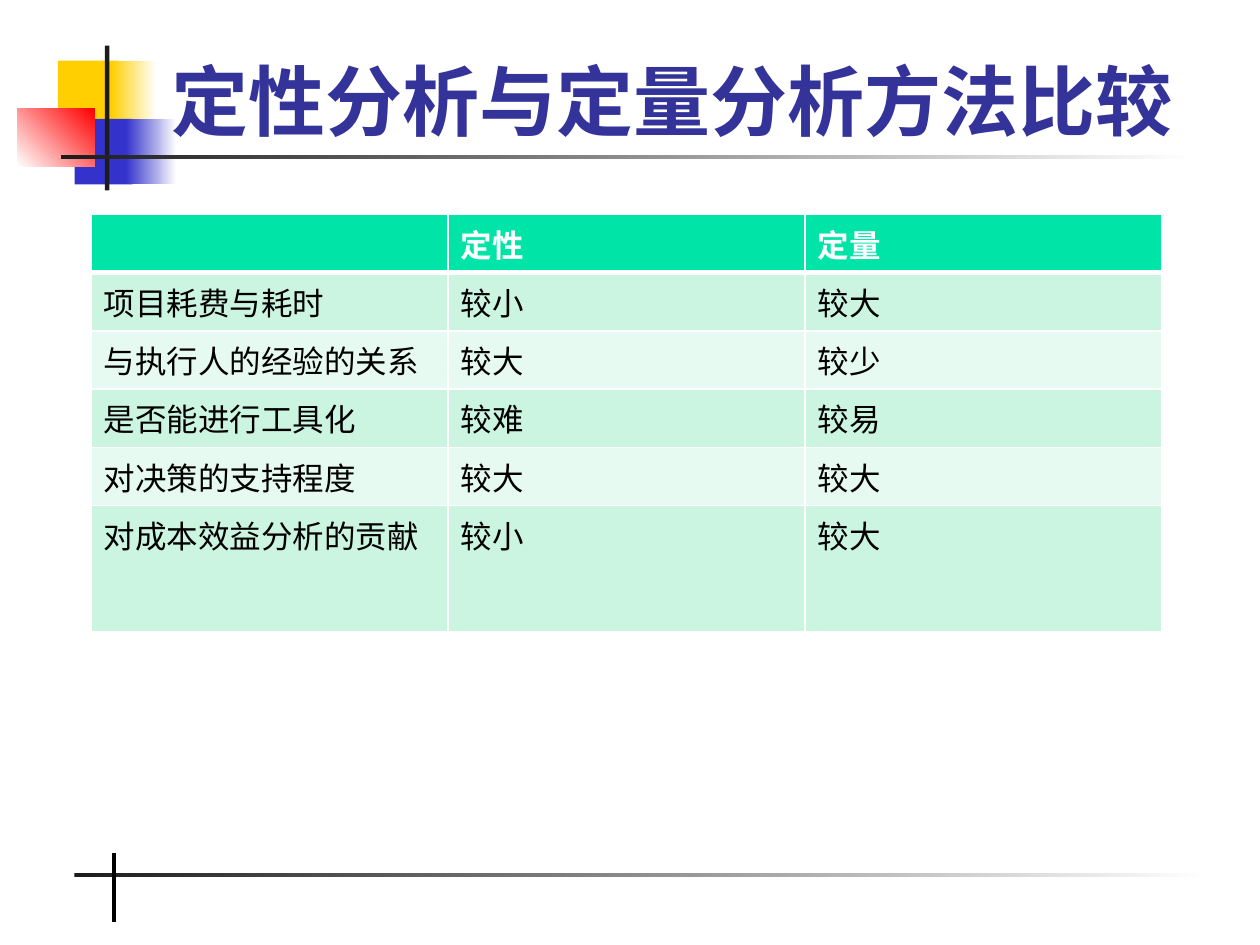
from lxml import etree
from pptx import Presentation
from pptx import util as u
from pptx.dml.color import RGBColor
from pptx.enum import shapes, text
from pptx.oxml import ns

W, H = 10, 7.5
COLORS = {
    "yellow": "FFCF01", "blue": "3333CC", "red": "FF0000", "ink": "1C1C1C",
    "black": "000000", "white": "FFFFFF", "title": "333399",
    "header": "00E4A8", "band": "CCF5E1", "pale": "E7FAF1",
}
ROWS = [
    ("", "定性", "定量"),
    ("项目耗费与耗时", "较小", "较大"),
    ("与执行人的经验的关系", "较大", "较少"),
    ("是否能进行工具化", "较难", "较易"),
    ("对决策的支持程度", "较大", "较大"),
    ("对成本效益分析的贡献", "较小", "较大"),
]
ROW_SHARES = [6, 6, 6, 6, 6, 13]


def rgb(name):
    return RGBColor.from_string(COLORS[name])


def within(box, x, y, w, h):
    bx, by, bw, bh = box
    return bx + bw * x / 100, by + bh * y / 100, bw * w / 100, bh * h / 100


def emu(box):
    x, y, w, h = box
    return [u.Inches(v) for v in (x * W / 100, y * H / 100, w * W / 100, h * H / 100)]


def add_run(p, words, size, font, color, bold):
    r = p.add_run()
    r.text = words
    r.font.size = u.Pt(size)
    r.font.name = font
    r.font.bold = bold
    r.font.color.rgb = rgb(color)


def add_rect(s, box, start, end=None, angle=0):
    sp = s.shapes.add_shape(shapes.MSO_SHAPE.RECTANGLE, *emu(box))
    sp.shadow.inherit = False
    sp.line.fill.background()
    if end is None:
        sp.fill.solid()
        sp.fill.fore_color.rgb = rgb(start)
    else:
        sp.fill.gradient()
        sp.fill.gradient_angle = angle
        for stop, name in zip(sp.fill.gradient_stops, (start, end)):
            stop.color.rgb = rgb(name)


def add_ornament(s, box):
    for part, *paint in [
        ((25.4, 10.6, 38.1, 45.22), "yellow"),
        ((58.73, 10.6, 28.57, 45.22), "yellow", "white"),
        ((35.9, 50.7, 36.51, 45.22), "blue"),
        ((68.25, 50.7, 31.75, 45.22), "blue", "white"),
        ((0, 43.48, 48.41, 40), "white", "red", 45),
        ((55, 0.2, 2.8, 100), "ink"),
    ]:
        add_rect(s, within(box, *part), *paint)


def add_rule(s, box):
    add_rect(s, box, "ink", "white")


def add_footer(s, box):
    add_rule(s, within(box, 0, 29.1, 100, 5.45))
    x, y, w, h = emu(within(box, 3.5, 0, 0, 100))
    line = s.shapes.add_connector(shapes.MSO_CONNECTOR.STRAIGHT, x, y, x, y + h)
    line.line.color.rgb = rgb("black")
    line.line.width = u.Pt(2.25)
    etree.SubElement(line._element.spPr, ns.qn("a:effectLst"))


def add_title(s, box):
    tf = s.shapes.add_textbox(*emu(box)).text_frame
    tf.word_wrap = True
    tf.vertical_anchor = text.MSO_ANCHOR.BOTTOM
    add_run(tf.paragraphs[0], "定性分析与定量分析方法比较", 44, "Times New Roman", "title", True)


def add_borders(cell, top, bottom):
    tc_pr = cell._tc.get_or_add_tcPr()
    for side, width in (("L", 1), ("R", 1), ("T", top), ("B", bottom)):
        ln = etree.SubElement(tc_pr, ns.qn("a:ln" + side), w=str(u.Pt(width)))
        fill = etree.SubElement(ln, ns.qn("a:solidFill"))
        etree.SubElement(fill, ns.qn("a:srgbClr"), val=COLORS["white"])


def add_comparison(s, box):
    x, y, w, h = emu(box)
    table = s.shapes.add_table(len(ROWS), len(ROWS[0]), x, y, w, h).table
    for column in table.columns:
        column.width = w // len(ROWS[0])
    for i, (row, share) in enumerate(zip(ROWS, ROW_SHARES)):
        table.rows[i].height = h * share // sum(ROW_SHARES)
        header = i == 0
        fill = "header" if header else "band" if i % 2 else "pale"
        for j, words in enumerate(row):
            cell = table.cell(i, j)
            add_borders(cell, 3 if i == 1 else 1, 3 if header else 1)
            cell.fill.solid()
            cell.fill.fore_color.rgb = rgb(fill)
            if words:
                add_run(cell.text_frame.paragraphs[0], words, 18, "Roboto",
                        "white" if header else "black", header)


def main():
    prs = Presentation()
    prs.slide_width, prs.slide_height = u.Inches(W), u.Inches(H)
    s = prs.slides.add_slide(prs.slide_layouts[6])
    add_ornament(s, (1.4, 4.8, 12.6, 15.33))
    add_rule(s, (4.83, 16.4, 90, 0.4))
    add_footer(s, (5.9, 90.27, 90, 7.33))
    add_title(s, (12.6, 2.13, 85.2, 14))
    add_comparison(s, (7.24, 22.67, 85, 44.23))
    prs.save("out.pptx")


if __name__ == "__main__":
    main()
